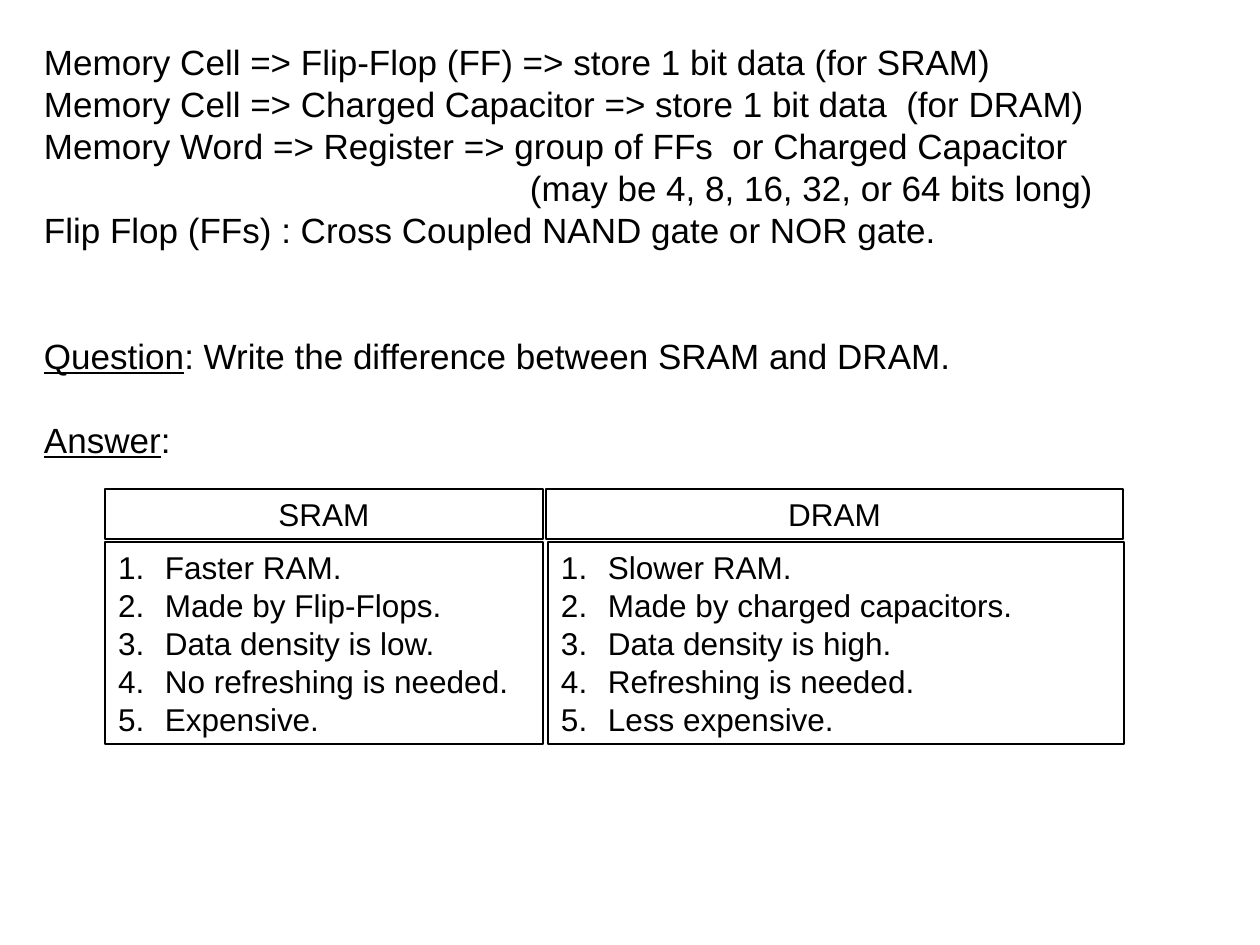
from pptx import Presentation
from pptx.dml.color import RGBColor
from pptx.enum.shapes import MSO_SHAPE as SHAPE
from pptx.enum.text import MSO_ANCHOR as ANCHOR, PP_ALIGN as ALIGN
from pptx.oxml.ns import qn
from pptx.util import Pt
from lxml.etree import SubElement

PX = 914400 // 126
BLACK = "000000"

# Text, then space before (pt) and left indent (px)
NOTES = [
    ("Memory Cell => Flip-Flop (FF) => store 1 bit data (for SRAM)", 0, 0),
    ("Memory Cell => Charged Capacitor => store 1 bit data  (for DRAM)", 0, 0),
    ("Memory Word => Register => group of FFs  or Charged Capacitor", 0, 0),
    ("(may be 4, 8, 16, 32, or 64 bits long)", 0, 486),
    ("Flip Flop (FFs) : Cross Coupled NAND gate or NOR gate.", 0, 0),
]
TASKS = [
    ("Question", ": Write the difference between SRAM and DRAM.", 48),
    ("Answer", ":", 24),
]

# Heading, heading x and width, list x and width, list items
COLUMNS = [
    ("SRAM", (105, 438), (105, 438),
     ["Faster RAM.", "Made by Flip-Flops.", "Data density is low.",
      "No refreshing is needed.", "Expensive."]),
    ("DRAM", (546, 577), (548, 576),
     ["Slower RAM.", "Made by charged capacitors.", "Data density is high.",
      "Refreshing is needed.", "Less expensive."]),
]
HEAD_ROW, LIST_ROW = (489, 50), (542, 202)


def px(n):
    return n * PX


def color(hex_value):
    return RGBColor.from_string(hex_value)


def set_all(obj, values):
    for name, value in values.items():
        setattr(obj, name, value)


def set_frame(tf, side, edge):
    set_all(tf, {"word_wrap": True, "vertical_anchor": ANCHOR.TOP,
                 "margin_left": px(side), "margin_right": px(side),
                 "margin_top": px(edge), "margin_bottom": px(edge)})


def add_paragraph(tf, runs, size, pitch, first=False, before=0,
                  align=ALIGN.LEFT, indent=0, hanging=0, numbered=False):
    """Add one paragraph; runs are (text, underlined) pairs."""
    p = tf.paragraphs[0] if first else tf.add_paragraph()
    set_all(p, {"alignment": align, "line_spacing": Pt(pitch),
                "space_before": Pt(before)})
    pPr = p._p.get_or_add_pPr()
    pPr.set("marL", str(px(indent)))
    pPr.set("indent", str(-px(hanging)))
    if numbered:
        SubElement(pPr, qn("a:buFont"), typeface="Arial")
        SubElement(pPr, qn("a:buAutoNum"), type="arabicPeriod")
    for text, underlined in runs:
        r = p.add_run()
        r.text = text
        set_all(r.font, {"name": "Arial", "size": Pt(size), "underline": underlined})
        r.font.color.rgb = color(BLACK)


def add_notes(slide):
    tf = slide.shapes.add_textbox(px(32), px(40), px(1187), px(420)).text_frame
    set_frame(tf, 12, 0)
    for i, (text, before, indent) in enumerate(NOTES):
        add_paragraph(tf, [(text, False)], 20, 24, i == 0, before, indent=indent)
    for label, text, before in TASKS:
        add_paragraph(tf, [(label, True), (text, False)], 20, 24, before=before)


def add_box(slide, span, row, lines, **style):
    (x, w), (y, h) = span, row
    sp = slide.shapes.add_shape(SHAPE.RECTANGLE, px(x), px(y), px(w), px(h))
    sp.shadow.inherit = False
    sp.fill.background()
    sp.line.color.rgb = color(BLACK)
    sp.line.width = Pt(0.75)
    set_frame(sp.text_frame, 13, 6)
    for i, line in enumerate(lines):
        add_paragraph(sp.text_frame, [(line, False)], 18, 21.7, i == 0, **style)


def main():
    prs = Presentation()
    set_all(prs, {"slide_width": px(1260), "slide_height": px(945)})
    slide = prs.slides.add_slide(prs.slide_layouts[6])

    # Notes, question and answer label
    add_notes(slide)

    # Comparison of the two memory types
    for heading, head_span, list_span, items in COLUMNS:
        add_box(slide, head_span, HEAD_ROW, [heading], align=ALIGN.CENTER)
        add_box(slide, list_span, LIST_ROW, items,
                indent=47, hanging=47, numbered=True)

    prs.save("out.pptx")


if __name__ == "__main__":
    main()
